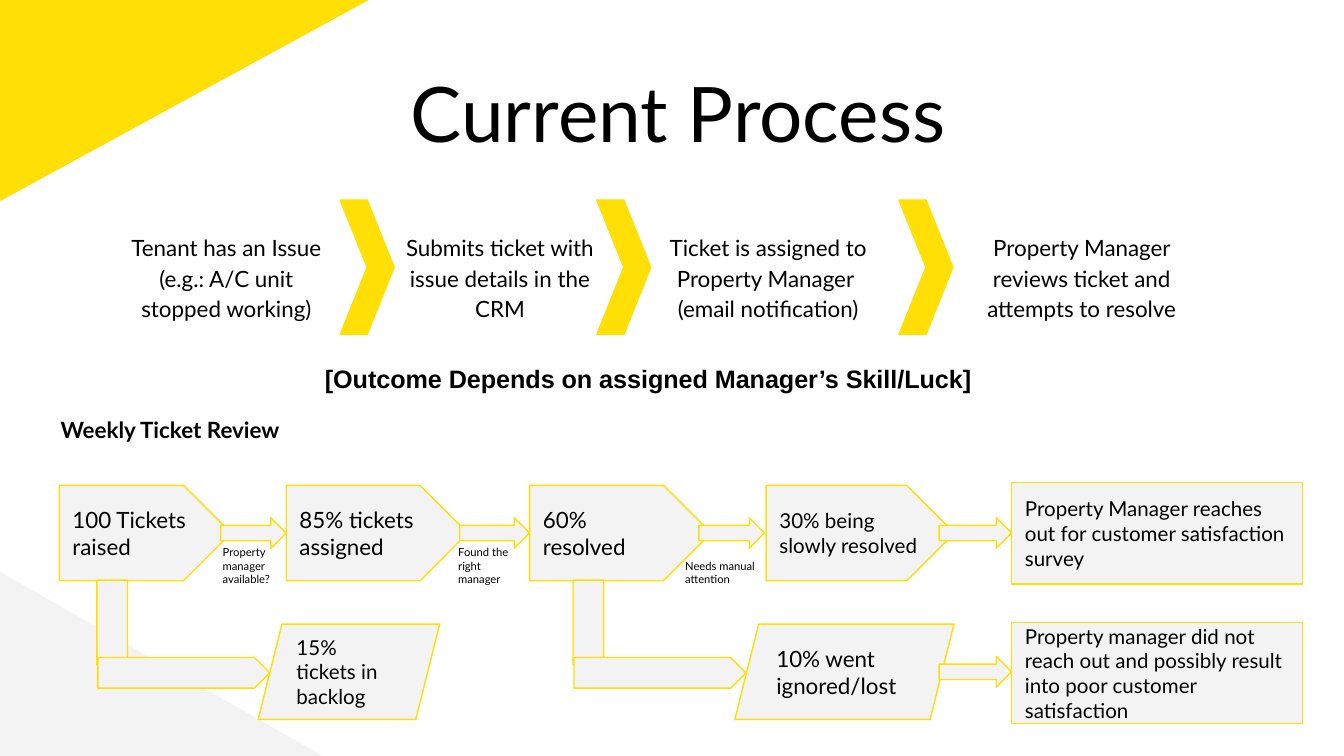
from dataclasses import dataclass
from pptx import Presentation
from pptx.dml.color import RGBColor
from pptx.enum.shapes import MSO_SHAPE as Shp
from pptx.enum.text import MSO_ANCHOR as Anchor, MSO_AUTO_SIZE as Fit, PP_ALIGN as Align
from pptx.util import Cm, Pt


@dataclass(frozen=True)
class Theme:
    yellow: RGBColor = RGBColor(0xFF, 0xDF, 0x06)
    grey: RGBColor = RGBColor(0xF3, 0xF3, 0xF3)
    ink: RGBColor = RGBColor(0, 0, 0)
    font: str = "Lato"
    accent_font: str = "Arial"
    title: float = 41
    outcome: float = 13.5
    body: float = 12
    small: float = 11
    note: float = 6
    line: float = 0.75
    inset: float = 0.25
    spacing: float = 1.15


class Deck:
    def __init__(self, slide, theme):
        self.s = slide
        self.t = theme

    def set_text(self, tf, text, size, align=Align.LEFT, anchor=Anchor.TOP,
                 bold=False, spacing=1.0, font=None):
        tf.word_wrap = True
        tf.vertical_anchor = anchor
        tf.margin_left = tf.margin_right = Cm(self.t.inset)
        tf.margin_top = tf.margin_bottom = Cm(self.t.inset)
        tf.text = text
        for p in tf.paragraphs:
            p.alignment = align
            p.line_spacing = spacing
            p.font.size = Pt(size)
            p.font.name = font or self.t.font
            p.font.bold = bold
            p.font.color.rgb = self.t.ink

    def title(self, text, x, y, w, h):
        sp = self.s.shapes.title
        sp.left, sp.top, sp.width, sp.height = Cm(x), Cm(y), Cm(w), Cm(h)
        sp.text_frame.auto_size = Fit.NONE
        self.set_text(sp.text_frame, text, self.t.title, Align.CENTER)

    def label(self, text, x, y, w, h, size, grow=False, **style):
        tf = self.s.shapes.add_textbox(Cm(x), Cm(y), Cm(w), Cm(h)).text_frame
        self.set_text(tf, text, size, **style)
        tf.auto_size = Fit.SHAPE_TO_FIT_TEXT if grow else Fit.NONE

    def shape(self, kind, x, y, w, h, fill, outline=True, turn=0, adj=()):
        sp = self.s.shapes.add_shape(kind, Cm(x), Cm(y), Cm(w), Cm(h))
        sp.shadow.inherit = False
        sp.rotation = turn
        sp.fill.solid()
        sp.fill.fore_color.rgb = fill
        if outline:
            sp.line.color.rgb = self.t.yellow
            sp.line.width = Pt(self.t.line)
        else:
            sp.line.fill.background()
        for i, value in enumerate(adj):
            sp.adjustments[i] = value
        return sp

    def box(self, kind, text, x, y, w, h, size, adj=()):
        sp = self.shape(kind, x, y, w, h, self.t.grey, adj=adj)
        self.set_text(sp.text_frame, text, size, anchor=Anchor.MIDDLE)

    def arrow(self, x, y, w, turn=0, shaft=0.5):
        self.shape(Shp.RIGHT_ARROW, x, y, w, 0.58, self.t.grey, turn=turn, adj=(shaft, 0.5))

    def elbow(self, x):
        self.arrow(x - 0.67, 11.61, 1.88, turn=90, shaft=1)
        self.arrow(x, 12.42, 3.25, shaft=1)


def build(d):
    t = d.t
    d.shape(Shp.RIGHT_TRIANGLE, 0, 10.8, 6.1, 3.48, t.grey, outline=False)
    d.title("Current Process", 1.57, 0.99, 22.5, 2.18)
    d.shape(Shp.RECTANGLE, -2.18, -1.12, 9.02, 3.4, t.yellow, turn=331.4)

    for text, x, w in (
        ("Tenant has an Issue\n(e.g.: A/C unit stopped working)", 2.03, 4.5),
        ("Submits ticket with issue details in the CRM", 7.42, 4.06),
        ("Ticket is assigned to Property Manager \v(email notification)", 12.07, 4.9),
        ("Property Manager reviews ticket and attempts to resolve", 17.78, 5.33),
    ):
        d.label(text, x, 4.09, w, 2.2, t.body, align=Align.CENTER, spacing=t.spacing)
    for x in (6.43, 11.28, 16.99):
        d.shape(Shp.CHEVRON, x, 3.78, 1.02, 2.54, t.yellow, adj=(0.5,))

    d.label("[Outcome Depends on assigned Manager’s Skill/Luck]", 5.89, 6.53, 13.61, 1.09,
            t.outcome, grow=True, bold=True, spacing=t.spacing, font=t.accent_font)
    d.label("Weekly Ticket Review", -0.05, 7.54, 6.53, 1.02, t.body, grow=True,
            align=Align.CENTER, bold=True, spacing=t.spacing)

    for text, x, w, size in (
        ("100 Tickets raised", 1.12, 3.25, t.body),
        ("85% tickets assigned", 5.41, 3.43, t.body),
        ("60% resolved", 10.01, 3.43, t.body),
        ("30% being slowly resolved", 14.48, 3.56, t.small),
    ):
        d.box(Shp.PENTAGON, text, x, 9.17, w, 1.8, size, adj=(0.5,))
    for x, w in ((4.17, 1.24), (8.69, 1.32), (13.21, 1.24), (17.75, 1.37)):
        d.arrow(x, 9.78, w)
    for text, x, y, w, h in (
        ("Property \vmanager available?", 3.96, 10.06, 1.88, 1.27),
        ("Found the \vright manager", 8.41, 10.06, 1.73, 1.27),
        ("Needs manual attention", 12.7, 10.31, 2.18, 1.02),
    ):
        d.label(text, x, y, w, h, t.note, grow=True)

    for text, start, x, w, size in (
        ("15% tickets in backlog", 1.85, 4.88, 3.43, t.small),
        ("10% went ignored/lost", 10.85, 13.89, 4.14, t.body),
    ):
        d.elbow(start)
        d.box(Shp.PARALLELOGRAM, text, x, 11.79, w, 1.8, size, adj=(0.25,))

    for text, y in (
        ("Property Manager reaches out for customer satisfaction survey", 9.12),
        ("Property manager did not reach out and possibly result into poor "
         "customer satisfaction", 11.76),
    ):
        d.box(Shp.RECTANGLE, text, 19.12, y, 5.5, 1.91, t.small)
    d.arrow(17.75, 12.4, 1.37)


def main():
    prs = Presentation()
    prs.slide_width, prs.slide_height = Cm(25.4), Cm(14.28)
    build(Deck(prs.slides.add_slide(prs.slide_layouts[5]), Theme()))
    prs.save("out.pptx")


if __name__ == "__main__":
    main()
